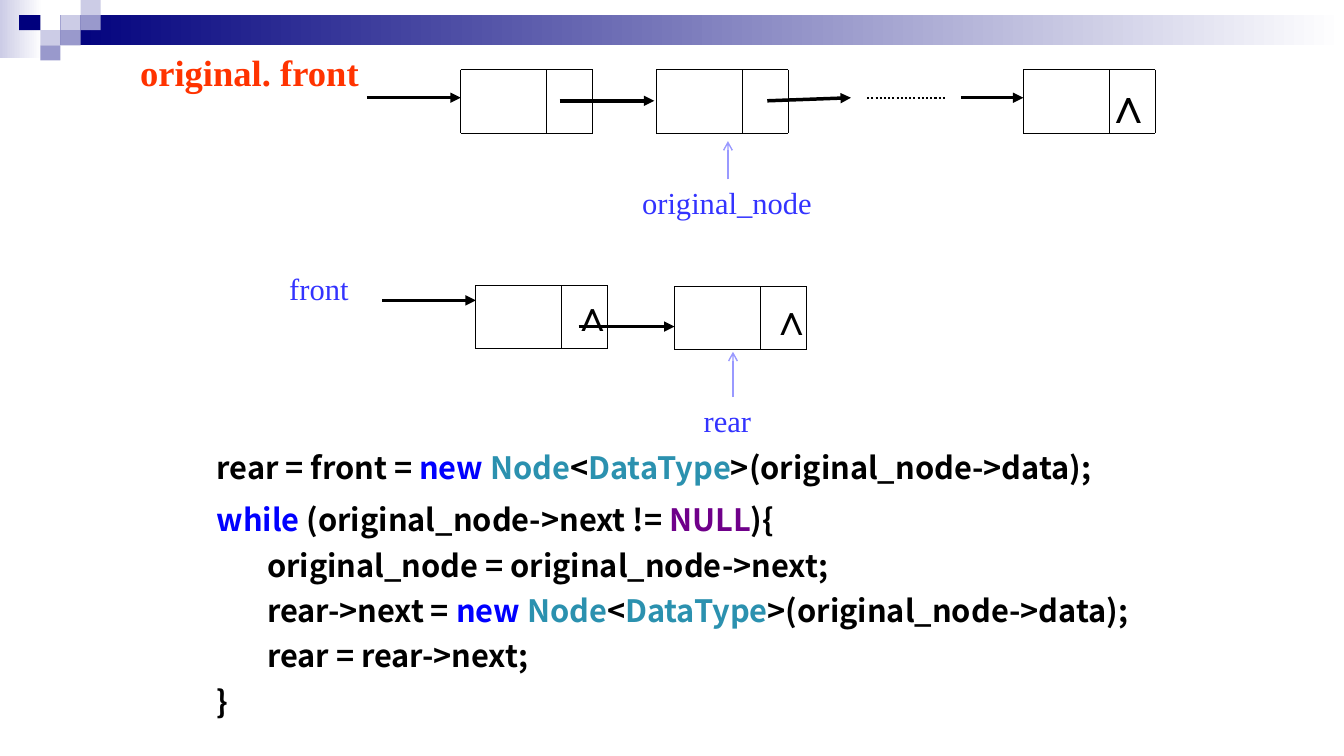
"""Build a slide that shows how a linked queue is copied node by node."""
from lxml.etree import SubElement
from pptx import Presentation
from pptx.dml.color import RGBColor
from pptx.enum.dml import MSO_LINE
from pptx.enum.shapes import MSO_CONNECTOR, MSO_SHAPE
from pptx.oxml.ns import qn
from pptx.util import Inches, Pt

BLACK = RGBColor(0x00, 0x00, 0x00)
WHITE = RGBColor(0xFF, 0xFF, 0xFF)
NAVY = RGBColor(0x00, 0x00, 0x7D)
LAVENDER = RGBColor(0xCC, 0xCC, 0xE6)
PERIWINKLE = RGBColor(0x99, 0x99, 0xCC)
POINTER = RGBColor(0x99, 0x99, 0xFF)
LABEL = RGBColor(0x33, 0x33, 0xFF)
RED = RGBColor(0xFF, 0x33, 0x00)
KEYWORD = RGBColor(0x00, 0x00, 0xFF)
TYPE = RGBColor(0x2B, 0x91, 0xAF)
MACRO = RGBColor(0x6F, 0x00, 0x8A)

SERIF = "Times New Roman"
CODE_FONT = "Noto Sans CJK SC"

presentation = Presentation()
presentation.slide_width = Inches(13.33)
presentation.slide_height = Inches(7.5)
slide = presentation.slides.add_slide(presentation.slide_layouts[6])


def add_line(x1, y1, x2, y2, color=BLACK, width=0.75, head=None, dash=None):
    line = slide.shapes.add_connector(
        MSO_CONNECTOR.STRAIGHT, Inches(x1), Inches(y1), Inches(x2), Inches(y2))
    line.line.color.rgb = color
    line.line.width = Pt(width)
    if dash:
        line.line.dash_style = dash
    if head:
        SubElement(line.line._get_or_add_ln(), qn("a:tailEnd"), type=head)
    SubElement(line._element.spPr, qn("a:effectLst"))


def add_text(paragraphs, left, top, width, height, size, font=SERIF,
             color=BLACK, bold=False, wrap=True, space=0):
    """Each paragraph is an indent level and a list of (text, colour) runs."""
    if isinstance(paragraphs, str):
        paragraphs = [(0, [(paragraphs, color)])]
    box = slide.shapes.add_textbox(
        Inches(left), Inches(top), Inches(width), Inches(height))
    frame = box.text_frame
    frame.word_wrap = wrap
    for index, (level, runs) in enumerate(paragraphs):
        paragraph = frame.add_paragraph() if index else frame.paragraphs[0]
        paragraph.space_before = Pt(space)
        paragraph.level = level
        properties = paragraph._p.get_or_add_pPr()
        properties.set("marL", str(Inches(0.5 * level)))
        properties.set("indent", "0")
        for text, run_color in runs:
            run = paragraph.add_run()
            run.text = text
            run.font.name = font
            run.font.size = Pt(size)
            run.font.bold = bold
            run.font.color.rgb = run_color


header_blocks = [
    (0, 0, 0.42, 0.58, (LAVENDER, WHITE)),
    (0.6, 0.15, 12.73, 0.3, (NAVY, WHITE)),
    (0.6, 0.15, 0.2, 0.15, LAVENDER),
    (0.8, 0, 0.2, 0.15, LAVENDER),
    (0.8, 0.15, 0.2, 0.15, PERIWINKLE),
    (0.4, 0.3, 0.2, 0.15, LAVENDER),
    (0.19, 0.15, 0.21, 0.15, NAVY),
    (0.6, 0.3, 0.2, 0.15, PERIWINKLE),
    (0.4, 0.45, 0.2, 0.15, PERIWINKLE),
]
for left, top, width, height, fill in header_blocks:
    shape = slide.shapes.add_shape(
        MSO_SHAPE.RECTANGLE, Inches(left), Inches(top), Inches(width), Inches(height))
    shape.shadow.inherit = False
    shape.line.fill.background()
    if isinstance(fill, RGBColor):
        shape.fill.solid()
        shape.fill.fore_color.rgb = fill
    else:
        shape.fill.gradient()
        shape.fill.gradient_angle = 0
        for stop, stop_color, position in zip(shape.fill.gradient_stops, fill, (0, 1)):
            stop.color.rgb = stop_color
            stop.position = position

for left, top in [(4.57, 0.69), (6.51, 0.69), (10.15, 0.69), (4.72, 2.83), (6.69, 2.84)]:
    right, bottom = left + 1.31, top + 0.63
    for x in (left, left + 0.85, right):
        add_line(x, top, x, bottom)
    for y in (top, bottom):
        add_line(left, y, right, y)

for ends in [(3.64, 0.97, 4.57, 0.97), (5.55, 1, 6.49, 1), (7.61, 1, 8.44, 0.97),
             (9.53, 0.97, 10.15, 0.97), (3.79, 2.98, 4.72, 2.98),
             (5.74, 3.24, 6.69, 3.24)]:
    add_line(*ends, width=2.5, head="triangle")
add_line(8.6, 0.97, 9.37, 0.97, width=1.5, dash=MSO_LINE.ROUND_DOT)
for x, start, end in [(7.22, 1.78, 1.4), (7.27, 3.94, 3.49)]:
    add_line(x, start, x, end, color=POINTER, width=1, head="arrow")

add_text("original. front", 1.29, 0.45, 2.39, 0.54, 26.1, color=RED, bold=True, wrap=False)
for name, left, top, width in [("original_node", 6.27, 1.78, 1.89),
                               ("front", 2.77, 2.63, 0.79), ("rear", 6.88, 3.94, 0.68)]:
    add_text(name, left, top, width, 0.47, 21.8, color=LABEL, wrap=False)
for left, top, height, size in [(10.86, 0.69, 0.69, 34.8), (5.57, 2.82, 0.61, 30.5),
                                (7.54, 2.86, 0.61, 30.5)]:
    add_text("∧", left, top, 0.54, height, size)

new_node = [("new ", KEYWORD), ("Node", TYPE), ("<", BLACK), ("DataType", TYPE),
            (">(original_node->data);", BLACK)]
first_node_code = [(1, [("rear = front = ", BLACK)] + new_node)]
loop_code = [
    (1, [("while", KEYWORD), (" (original_node->next != ", BLACK),
         ("NULL", MACRO), ("){", BLACK)]),
    (2, [("original_node = original_node->next;", BLACK)]),
    (2, [("rear->next = ", BLACK)] + new_node),
    (2, [("rear = rear->next;", BLACK)]),
    (1, [("}", BLACK)]),
]
for code, top, width, height in [(first_node_code, 4.4, 10.95, 0.47),
                                 (loop_code, 4.92, 10.35, 2.29)]:
    add_text(code, 1.55, top, width, height, 22, font=CODE_FONT, bold=True, space=6)

presentation.save("out.pptx")
